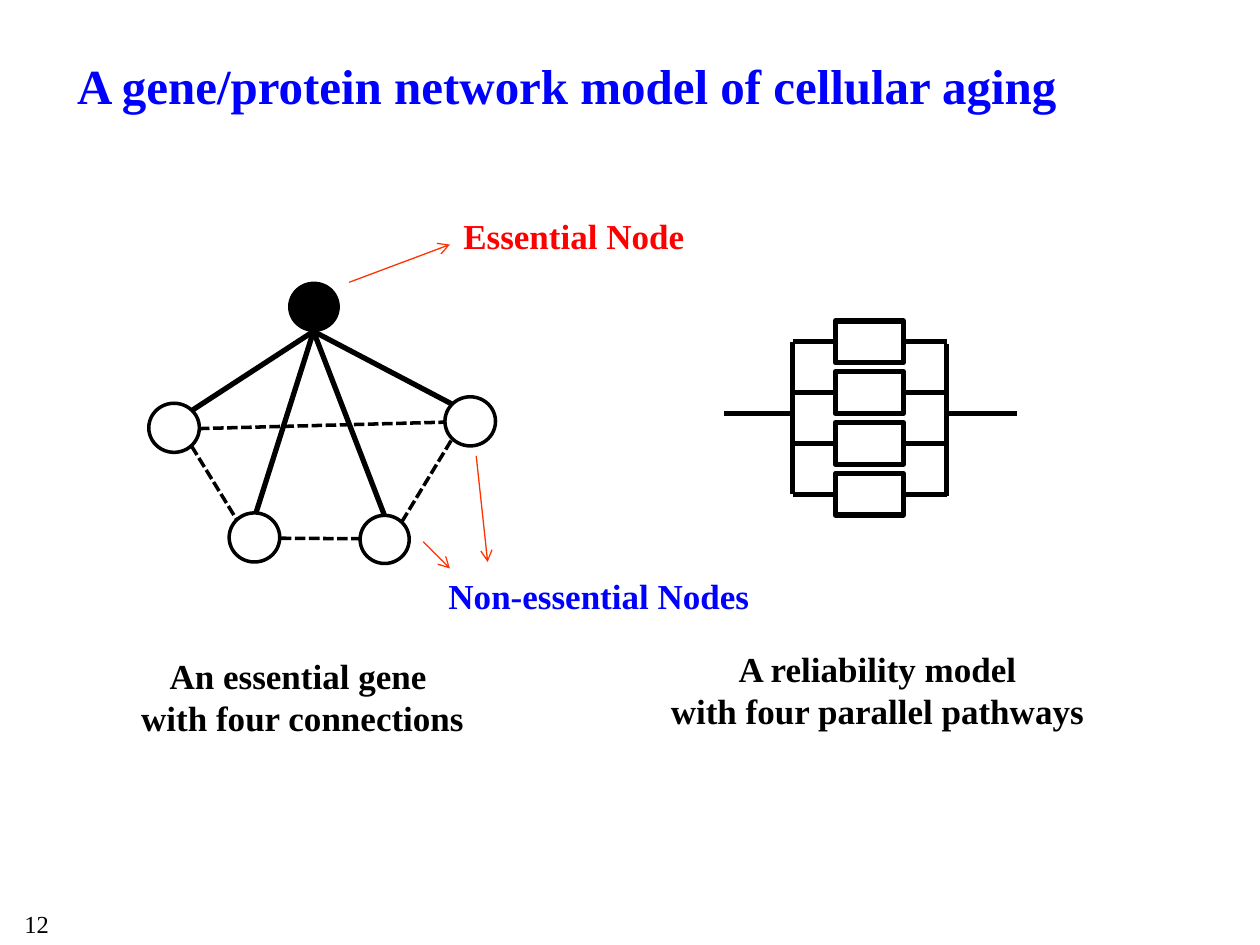
import pptx
import pptx.dml.color
import pptx.enum.dml
import pptx.enum.shapes
import pptx.enum.text
import pptx.oxml
import pptx.oxml.ns
import pptx.util
from dataclasses import dataclass
from typing import Any, Optional

Cm = pptx.util.Cm
Pt = pptx.util.Pt
RGBColor = pptx.dml.color.RGBColor
Kind = pptx.enum.shapes.MSO_SHAPE
Align = pptx.enum.text.PP_ALIGN
Anchor = pptx.enum.text.MSO_ANCHOR
Dash = pptx.enum.dml.MSO_LINE

BLACK = RGBColor(0x00, 0x00, 0x00)
WHITE = RGBColor(0xFF, 0xFF, 0xFF)
BLUE = RGBColor(0x00, 0x00, 0xFF)
RED = RGBColor(0xFF, 0x00, 0x00)
ORANGE = RGBColor(0xFF, 0x33, 0x00)
FONT = "Times New Roman"


@dataclass
class Label:
    text: str
    left: float
    top: float
    width: float
    height: float
    color: RGBColor = BLACK
    size: int = 20
    bold: bool = True


@dataclass
class Shape:
    kind: Any
    left: float
    top: float
    width: float
    height: float
    fill: Optional[RGBColor] = None
    weight: float = 2


@dataclass
class Line:
    x1: float
    y1: float
    x2: float
    y2: float
    weight: float = 3
    color: RGBColor = BLACK
    dash: Any = None
    arrow: bool = False


def apply(target: Any, values: dict) -> None:
    for name, value in values.items():
        setattr(target, name, value)


def format_text(frame: Any, align: Any, size: int, bold: bool, color: RGBColor) -> None:
    for para in frame.paragraphs:
        para.alignment = align
        apply(para.font, {"name": FONT, "size": Pt(size), "bold": bold})
        para.font.color.rgb = color


def draw_label(page: Any, label: Label) -> None:
    box = page.shapes.add_textbox(
        Cm(label.left), Cm(label.top), Cm(label.width), Cm(label.height))
    box.text_frame.text = label.text
    box.text_frame.word_wrap = False
    format_text(box.text_frame, Align.CENTER, label.size, label.bold, label.color)


def draw_shape(page: Any, item: Shape) -> None:
    shape = page.shapes.add_shape(
        item.kind, Cm(item.left), Cm(item.top), Cm(item.width), Cm(item.height))
    shape.shadow.inherit = False
    if item.fill is None:
        shape.fill.background()
    else:
        shape.fill.solid()
        shape.fill.fore_color.rgb = item.fill
    shape.line.color.rgb = BLACK
    shape.line.width = Pt(item.weight)


def draw_line(page: Any, item: Line) -> None:
    connector = page.shapes.add_connector(
        pptx.enum.shapes.MSO_CONNECTOR.STRAIGHT,
        Cm(item.x1), Cm(item.y1), Cm(item.x2), Cm(item.y2))
    connector.line.color.rgb = item.color
    apply(connector.line, {"width": Pt(item.weight), "dash_style": item.dash})
    qn = pptx.oxml.ns.qn
    properties = connector.element.spPr
    if item.arrow:
        outline = connector.line._get_or_add_ln()
        tail = outline.makeelement(qn("a:tailEnd"), {"type": "arrow"})
        outline.append(tail)
    properties.append(properties.makeelement(qn("a:effectLst"), {}))


def draw_title(page: Any) -> None:
    title = page.shapes.title
    apply(title, {"left": Cm(1.3), "top": Cm(0.66),
                  "width": Cm(21.59), "height": Cm(3.18)})
    title.text_frame.text = "A gene/protein network model of cellular aging"
    apply(title.text_frame, {"vertical_anchor": Anchor.MIDDLE, "word_wrap": True,
                             "margin_bottom": Cm(1.22)})
    format_text(title.text_frame, Align.LEFT, 28, True, BLUE)


def draw_reliability_model(page: Any) -> None:
    left_rail, right_rail, lead_y = 15.98, 19.1, 8.33
    first_row, pitch, rows = 6.89, 1.025, 4
    last_row = first_row + pitch * (rows - 1)
    draw_line(page, Line(14.6, lead_y, left_rail, lead_y))
    for row in range(rows):
        y = first_row + row * pitch
        draw_line(page, Line(left_rail, y, right_rail, y))
        draw_shape(page, Shape(Kind.RECTANGLE, 16.84, y - 0.42, 1.37, 0.84, WHITE, 3))
    draw_line(page, Line(left_rail, first_row, left_rail, last_row))
    draw_line(page, Line(19.08, first_row + 0.04, 19.08, last_row + 0.04))
    draw_line(page, Line(right_rail, lead_y, 20.5, lead_y))


def draw_gene_network(page: Any) -> None:
    draw_shape(page, Shape(Kind.OVAL, 5.82, 5.69, 1.02, 0.99, BLACK, 0.75))
    nodes = [(7.26, 10.39, 0.99, 0.97), (4.62, 10.34, 1.02, 0.99),
             (3.0, 8.13, 1.02, 0.99), (8.97, 8.0, 1.02, 0.99)]
    for node in nodes:
        draw_shape(page, Shape(Kind.OVAL, *node))
    essential_links = [(3.86, 8.28), (5.16, 10.34), (7.75, 10.39), (9.12, 8.15)]
    for x, y in essential_links:
        draw_line(page, Line(6.32, 6.68, x, y))
    other_links = [(8.1, 10.52, 9.12, 8.84), (5.66, 10.85, 7.26, 10.86),
                   (4.01, 8.64, 8.97, 8.51), (3.86, 8.99, 4.78, 10.49)]
    for link in other_links:
        draw_line(page, Line(*link, weight=2, dash=Dash.SQUARE_DOT))
    pointers = [(7.04, 5.69, 9.07, 4.93), (9.6, 9.19, 9.83, 11.33),
                (8.53, 10.92, 9.07, 11.46)]
    for pointer in pointers:
        draw_line(page, Line(*pointer, weight=0.75, color=ORANGE, arrow=True))


def main() -> None:
    deck = pptx.Presentation()
    apply(deck, {"slide_width": Cm(25.4), "slide_height": Cm(19.05)})
    page = deck.slides.add_slide(deck.slide_layouts[5])
    draw_title(page)
    draw_reliability_model(page)
    draw_gene_network(page)
    labels = [
        Label("An essential gene \nwith four connections", 2.57, 13.06, 7.06, 1.96),
        Label("A reliability model\nwith four parallel pathways", 13.23, 12.93, 8.92, 1.96),
        Label("Essential Node", 9.07, 4.19, 5.0, 1.12, RED),
        Label("Non-essential Nodes", 8.76, 11.46, 6.63, 1.12, BLUE),
        Label("12", -1.14, 18.21, 3.76, 0.84, size=14, bold=False),
    ]
    for label in labels:
        draw_label(page, label)
    deck.save("out.pptx")


if __name__ == "__main__":
    main()
